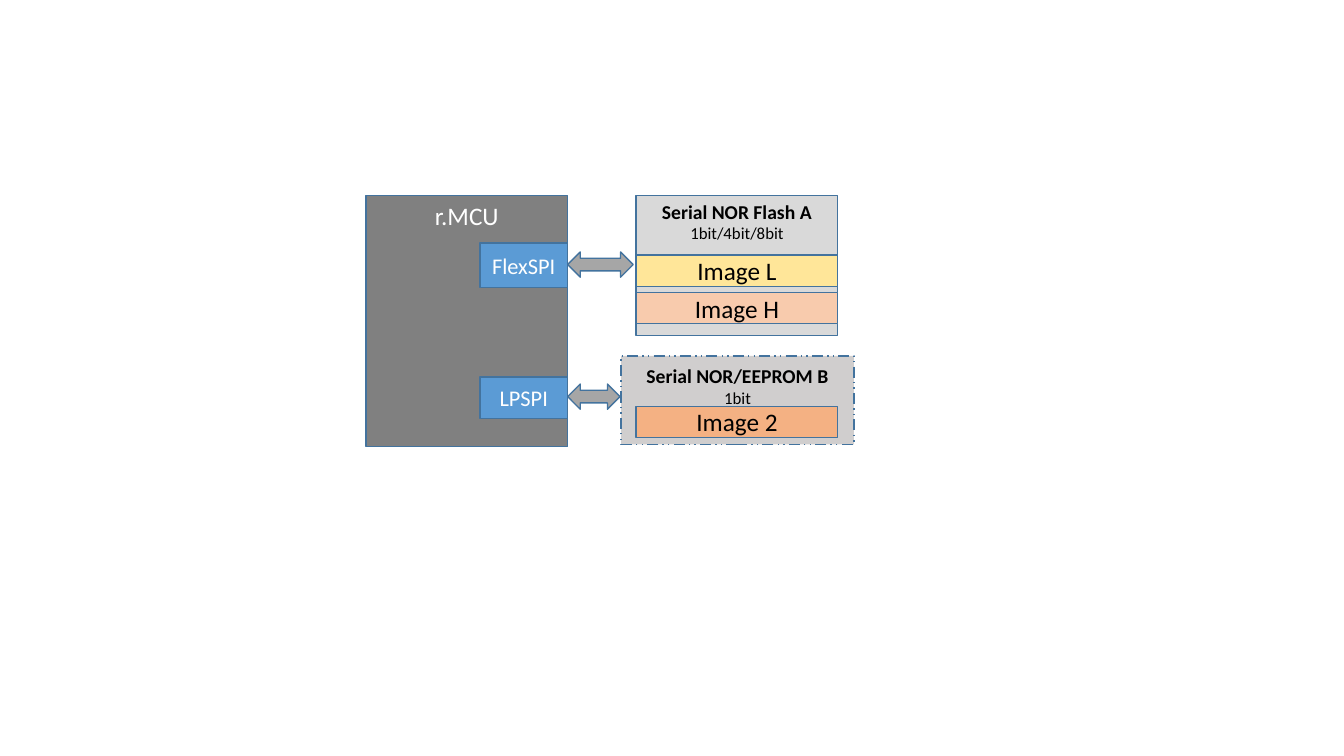
from dataclasses import dataclass

from pptx import Presentation
from pptx.dml.color import RGBColor
from pptx.enum import dml, shapes, text
from pptx.util import Pt

PX = 9144  # EMU in one px, 100 px to the inch
FONT = "Calibri"

WHITE = RGBColor(0xFF, 0xFF, 0xFF)
BLACK = RGBColor(0x00, 0x00, 0x00)
EDGE = RGBColor(0x43, 0x73, 0x9E)
CHIP = RGBColor(0x80, 0x80, 0x80)
PORT = RGBColor(0x5B, 0x9B, 0xD5)
ARROW = RGBColor(0xA6, 0xA6, 0xA6)
FLASH = RGBColor(0xD9, 0xD9, 0xD9)
EXTRA = RGBColor(0xD0, 0xCE, 0xCE)
LOW = RGBColor(0xFF, 0xE6, 0x99)
HIGH = RGBColor(0xF8, 0xCB, 0xAD)
SECOND = RGBColor(0xF4, 0xB1, 0x83)

RECT = shapes.MSO_SHAPE.RECTANGLE
BOTH = shapes.MSO_SHAPE.LEFT_RIGHT_ARROW


@dataclass(frozen=True)
class Line:
    words: str
    size: int = 18
    color: RGBColor = BLACK
    bold: bool = False


@dataclass(frozen=True)
class Box:
    left: int
    top: int
    width: int
    height: int
    fill: RGBColor
    lines: tuple[Line, ...] = ()
    inset: int | None = None  # px above the text; None centres it
    kind: shapes.MSO_SHAPE = RECT
    dashed: bool = False


def write(para, words: str, *, size: int, color: RGBColor, bold: bool) -> None:
    para.alignment = text.PP_ALIGN.CENTER
    run = para.add_run()
    run.text = words
    font = run.font
    font.name, font.size, font.bold = FONT, Pt(size), bold
    font.color.rgb = color


def draw(slide, box: Box) -> None:
    shape = slide.shapes.add_shape(
        box.kind, *(n * PX for n in (box.left, box.top, box.width, box.height)))
    shape.shadow.inherit = False
    shape.fill.solid()
    shape.fill.fore_color.rgb = box.fill
    shape.line.color.rgb = EDGE
    shape.line.width = Pt(1)
    if box.dashed:
        shape.line.dash_style = dml.MSO_LINE.DASH_DOT_DOT

    frame = shape.text_frame
    frame.word_wrap = True
    frame.margin_left = frame.margin_right = frame.margin_bottom = 0
    frame.margin_top = (box.inset or 0) * PX
    frame.vertical_anchor = (text.MSO_ANCHOR.MIDDLE if box.inset is None
                             else text.MSO_ANCHOR.TOP)
    for i, line in enumerate(box.lines):
        para = frame.add_paragraph() if i else frame.paragraphs[0]
        write(para, line.words, size=line.size, color=line.color, bold=line.bold)


def port(name: str, top: int, height: int) -> Box:
    return Box(476, top, 87, height, PORT, (Line(name, 16, WHITE),))


def image(name: str, top: int, fill: RGBColor) -> Box:
    return Box(631, top, 200, 31, fill, (Line(name),))


def link(top: int, width: int) -> Box:
    return Box(563, top, width, 25, ARROW, kind=BOTH)


def head(name: str, bits: str) -> tuple[Line, ...]:
    return Line(name, 14, bold=True), Line(bits, 12)


PARTS = (
    # Controller and its ports
    Box(363, 194, 200, 249, CHIP, (Line("r.MCU", 18, WHITE),), inset=5),
    port("FlexSPI", 241, 44),
    port("LPSPI", 374, 41),
    # Main flash memory
    Box(631, 194, 200, 139, FLASH,
        head("Serial NOR Flash A", "1bit/4bit/8bit"), inset=4),
    image("Image L", 253, LOW),
    image("Image H", 290, HIGH),
    # Optional second memory
    Box(616, 353, 231, 88, EXTRA,
        head("Serial NOR/EEPROM B", "1bit"), inset=8, dashed=True),
    image("Image 2", 403, SECOND),
    # Links between ports and memories
    link(250, 65),
    link(381, 52),
)


def main() -> None:
    deck = Presentation()
    deck.slide_width, deck.slide_height = 1333 * PX, 750 * PX
    slide = deck.slides.add_slide(deck.slide_layouts[6])
    for part in PARTS:
        draw(slide, part)
    deck.save("out.pptx")


if __name__ == "__main__":
    main()
